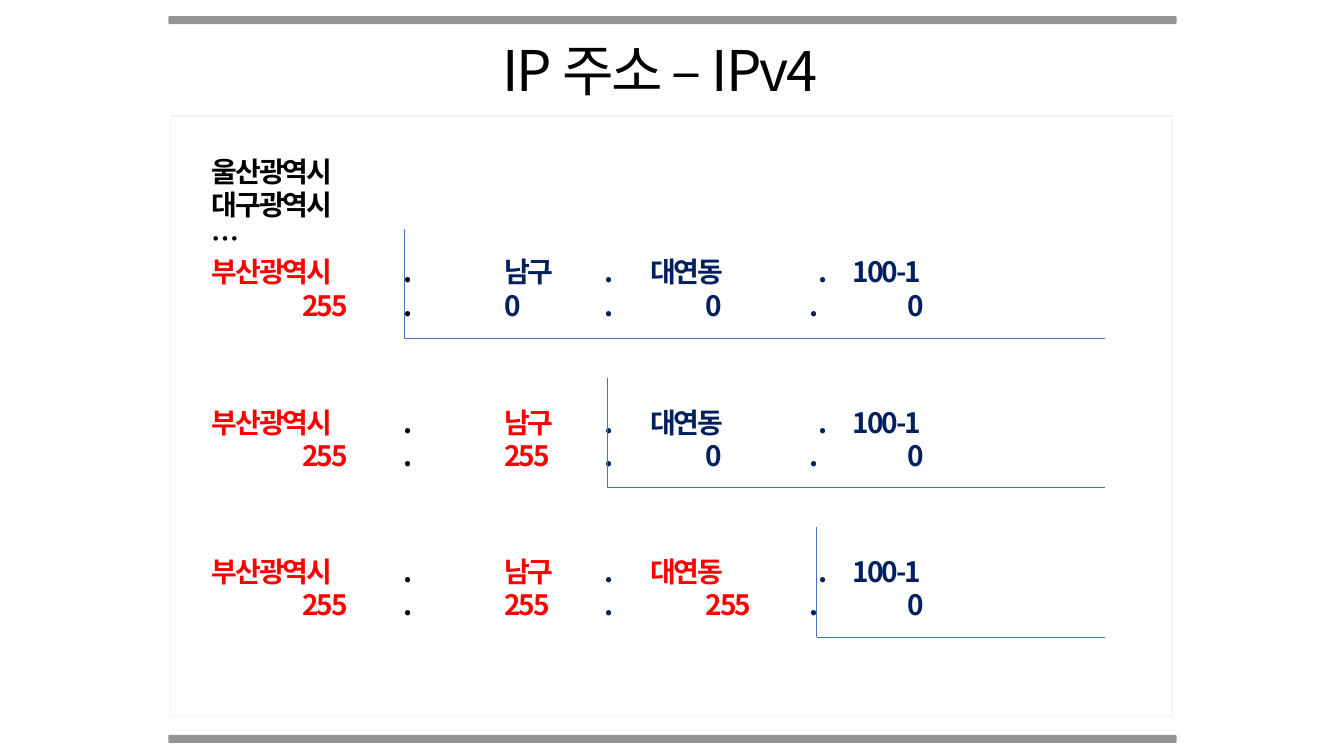
from pptx import Presentation
from pptx.dml.color import RGBColor
from pptx.enum.shapes import MSO_CONNECTOR, MSO_SHAPE
from pptx.enum.text import PP_ALIGN
from pptx.oxml.ns import qn
from pptx.util import Inches, Pt
from lxml.etree import SubElement, Element

COLORS = {"black": "000000", "red": "FF0000", "navy": "002060",
          "bar": "808080", "frame": "F2F2F2", "line": "4472C4"}
FONT = "Noto Sans CJK KR"
CITIES = ["울산광역시", "대구광역시", "…"]
ADDRESS = ["부산광역시", "남구", "대연동", "100-1"]
NAME_TABS = [1.9, 2.9, 3.9, 4.35, 6.02, 6.36]
OCTET_TABS = [0.9, 1.9, 2.9, 3.9, 4.9, 5.93, 6.9]


class SlideBuilder:
    def __init__(self, page):
        self.page = page

    def color(self, name):
        return RGBColor.from_string(COLORS[name])

    def shape(self, kind, left, top, width, height):
        shape = self.page.shapes.add_shape(
            kind, Inches(left), Inches(top), Inches(width), Inches(height))
        shape.shadow.inherit = False
        return shape

    def frame(self, left, top, width, height):
        frame = self.shape(MSO_SHAPE.RECTANGLE, left, top, width, height)
        frame.fill.background()
        frame.line.color.rgb = self.color("frame")
        frame.line.width = Pt(1)

    def bar(self, left, top, width, height):
        bar = self.shape(MSO_SHAPE.ROUNDED_RECTANGLE, left, top, width, height)
        bar.fill.solid()
        bar.fill.fore_color.rgb = self.color("bar")
        bar.line.fill.background()
        fill = bar.fill._xPr.find(qn("a:solidFill"))
        SubElement(fill[0], qn("a:alpha")).set("val", "83000")

    def line(self, left, top, right, bottom):
        line = self.page.shapes.add_connector(
            MSO_CONNECTOR.STRAIGHT, Inches(left), Inches(top), Inches(right), Inches(bottom))
        line.line.color.rgb = self.color("line")
        line.line.width = Pt(0.5)
        SubElement(line._element.spPr, qn("a:effectLst"))

    def text(self, left, top, width, height, rows, size, bold=False,
             align=PP_ALIGN.LEFT, inset=0.1):
        box = self.page.shapes.add_textbox(
            Inches(left), Inches(top), Inches(width), Inches(height))
        frame = box.text_frame
        frame.word_wrap = True
        frame.margin_left = Inches(inset)
        for index, (spans, tabs) in enumerate(rows):
            para = frame.add_paragraph() if index else frame.paragraphs[0]
            para.alignment = align
            para.font.size = Pt(size)
            para.font.bold = bold
            para.font.name = FONT
            self.tab_stops(para, tabs)
            for words, color in spans:
                self.span(para, words, color)

    def span(self, para, words, color):
        span = para.add_run()
        span.text = words
        span.font.color.rgb = self.color(color)
        properties = span._r.get_or_add_rPr()
        properties.set("spc", "-150")
        SubElement(properties, qn("a:ea")).set("typeface", FONT)

    def tab_stops(self, para, tabs):
        if tabs:
            stops = Element(qn("a:tabLst"))
            for position in tabs:
                stop = SubElement(stops, qn("a:tab"))
                stop.set("pos", str(Inches(position)))
                stop.set("algn", "l")
            para._p.get_or_add_pPr().insert(0, stops)


def dotted(values, masked):
    spans = []
    for index, value in enumerate(values):
        if index:
            spans.append(("\t.\t", "black" if index == 1 else "navy"))
        spans.append((value, "red" if index < masked else "navy"))
    return spans


def address_rows(masked):
    octets = ["255" if index < masked else "0" for index in range(4)]
    octets[0] = "\t" + octets[0]
    return [(dotted(ADDRESS, masked), NAME_TABS), (dotted(octets, masked), OCTET_TABS)]


def main():
    deck = Presentation()
    deck.slide_width, deck.slide_height = Inches(13.33), Inches(7.5)
    slide = SlideBuilder(deck.slides.add_slide(deck.slide_layouts[6]))

    slide.frame(1.69, 1.15, 9.94, 5.96)
    slide.text(2.89, 0.3, 7.31, 0.77, [([("IP 주소 – IPv4", "black")], [])], 40,
               align=PP_ALIGN.CENTER)
    for top in (0.16, 7.29):
        slide.bar(1.67, top, 10, 0.08)

    city_rows = [([(city, "black")], []) for city in CITIES]
    for masked, corner in enumerate((4.01, 6.02, 8.1), start=1):
        top = 2.49 + 1.48 * (masked - 1)
        rows = address_rows(masked)
        if masked == 1:
            slide.text(1.9, 1.48, 9.3, 2.12, city_rows + rows, 20, True, inset=0.2)
        else:
            slide.text(1.9, top, 9.3, 1.11, rows, 20, True, inset=0.2)
        slide.line(corner, top - 0.22, corner, top + 0.87)
        slide.line(10.96, top + 0.87, corner, top + 0.87)

    deck.save("out.pptx")


if __name__ == "__main__":
    main()
